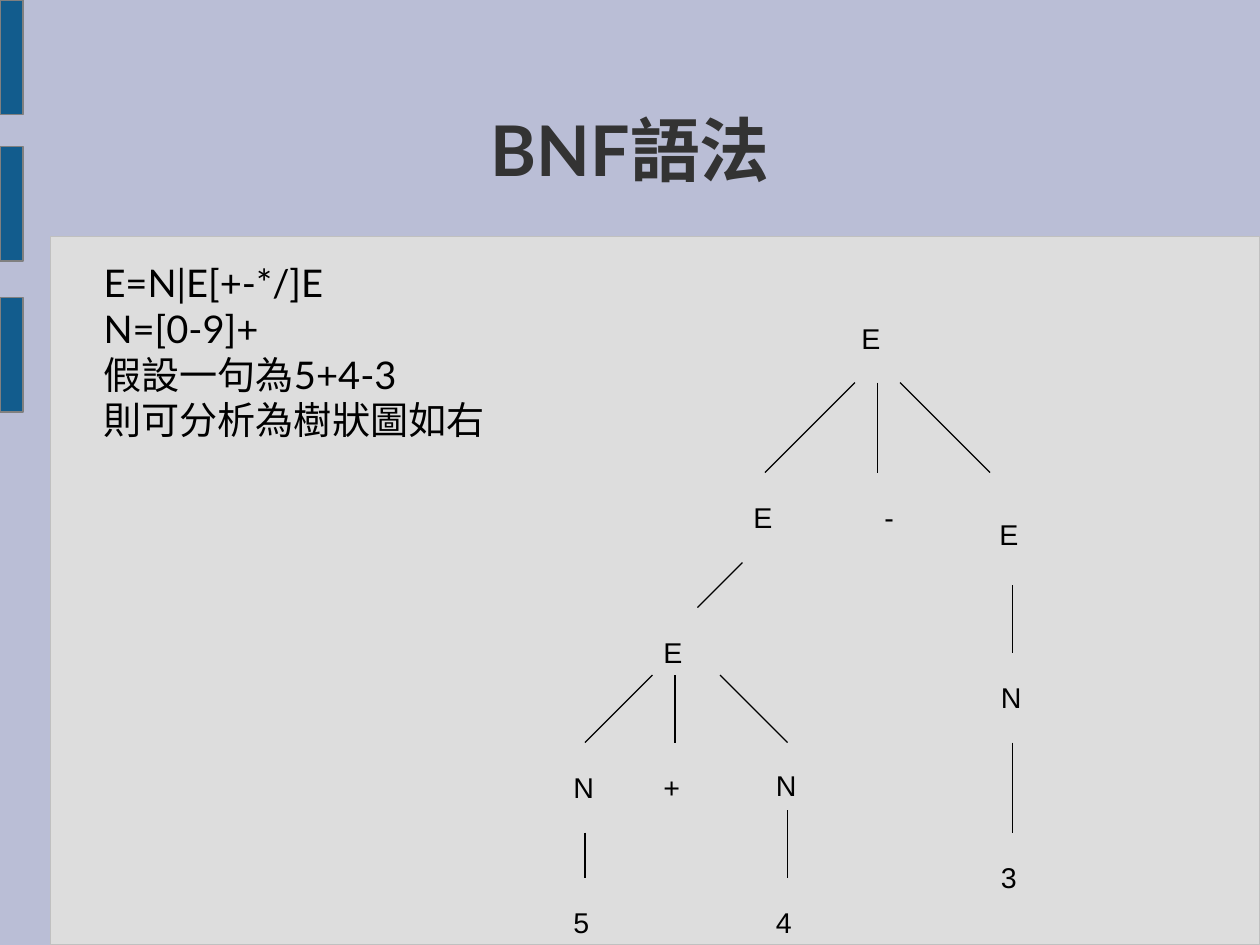
from lxml import etree
from pptx import Presentation
from pptx.dml.color import RGBColor
from pptx.enum.shapes import MSO_CONNECTOR, MSO_SHAPE
from pptx.enum.text import MSO_ANCHOR, MSO_AUTO_SIZE, PP_ALIGN
from pptx.oxml.ns import qn
from pptx.util import Pt

STRAIGHT = MSO_CONNECTOR.STRAIGHT
ROUNDED = MSO_SHAPE.ROUNDED_RECTANGLE
TOP, MIDDLE = MSO_ANCHOR.TOP, MSO_ANCHOR.MIDDLE
NO_AUTOFIT = MSO_AUTO_SIZE.NONE
LEFT, CENTER = PP_ALIGN.LEFT, PP_ALIGN.CENTER

EMU_PER_PX = 4000  # the slide is 2520 by 1890 px, 28 by 21 cm
GRID = 45  # px in one step of the tree's grid, 5 mm
COLORS = {
    "background": "BABED6",
    "panel": "DDDDDD",
    "panel_line": "C0C0C0",
    "bar": "125C8D",
    "bar_line": "808080",
    "title": "333333",
    "text": "000000",
}
BAR_TOPS = [0, 293, 595]
GRAMMAR_LINES = ["E=N|E[+-*/]E", "N=[0-9]+", "假設一句為5+4-3", "則可分析為樹狀圖如右"]

# Tree nodes: symbol, left, top, width
NODES = [
    ("E", 1701, 631, 82),
    ("E", 1485, 990, 82),
    ("-", 1747, 990, 64),
    ("E", 1977, 1024, 82),
    ("E", 1305, 1260, 82),
    ("N", 1980, 1350, 87),
    ("N", 1125, 1530, 87),
    ("+", 1305, 1530, 135),
    ("N", 1530, 1525, 87),
    ("3", 1980, 1710, 78),
    ("5", 1125, 1800, 78),
    ("4", 1530, 1800, 78),
]
NODE_HEIGHT = 87

# Tree branches in grid steps: start x, start y, end x, end y
BRANCHES = [
    (38, 17, 34, 21),
    (39, 17, 39, 21),
    (40, 17, 44, 21),
    (33, 25, 31, 27),
    (45, 26, 45, 29),
    (29, 30, 26, 33),
    (30, 30, 30, 33),
    (32, 30, 35, 33),
    (45, 33, 45, 37),
    (26, 37, 26, 39),
    (35, 36, 35, 39),
]


def px(*lengths):
    return [length * EMU_PER_PX for length in lengths]


def color(name):
    return RGBColor.from_string(COLORS[name])


def set_all(target, values):
    for name, value in values.items():
        setattr(target, name, value)


def set_frame(frame, margins, anchor, wrap):
    left, top, right, bottom = px(*margins)
    set_all(frame, {
        "margin_left": left, "margin_top": top,
        "margin_right": right, "margin_bottom": bottom,
        "vertical_anchor": anchor, "word_wrap": wrap, "auto_size": NO_AUTOFIT,
    })


def set_font(font, face, size, color_name, bold=False):
    set_all(font, {"name": face, "size": Pt(size), "bold": bold})
    font.color.rgb = color(color_name)


def add_block(slide, behind, bounds, fill, line):
    block = slide.shapes.add_shape(ROUNDED, *px(*bounds))
    block.adjustments[0] = 0
    block.shadow.inherit = False
    block.fill.solid()
    block.fill.fore_color.rgb = color(fill)
    block.line.color.rgb = color(line)
    block.line.width = Pt(0.75)
    behind.element.addprevious(block.element)


def fill_placeholder(box, bounds, lines, anchor, alignment):
    set_all(box, dict(zip(("left", "top", "width", "height"), px(*bounds))))
    frame = box.text_frame
    frame.text = "\n".join(lines)
    set_frame(frame, (0, 0, 0, 0), anchor, True)
    for para in frame.paragraphs:
        set_all(para, {"alignment": alignment, "space_before": Pt(0), "line_spacing": 1.0})
    return frame.paragraphs


def remove_bullet(para, indent, hanging):
    properties = para._p.get_or_add_pPr()
    properties.set("marL", str(px(indent)[0]))
    properties.set("indent", str(px(-hanging)[0]))
    etree.SubElement(properties, qn("a:buNone"))


def add_node(slide, symbol, left, top, width):
    box = slide.shapes.add_textbox(*px(left, top, width, NODE_HEIGHT))
    set_frame(box.text_frame, (22, 16, 22, 11), TOP, symbol == "+")
    para = box.text_frame.paragraphs[0]
    para.line_spacing = 0.93
    span = para.add_run()
    span.text = symbol
    set_font(span.font, "Arial", 18, "text")


def add_branch(slide, steps):
    ends = px(*(step * GRID for step in steps))
    branch = slide.shapes.add_connector(STRAIGHT, *ends)
    branch.line.color.rgb = color("text")
    branch.line.width = Pt(0.75)
    etree.SubElement(branch.element.spPr, qn("a:effectLst"))


def main():
    deck = Presentation()
    deck.slide_width, deck.slide_height = px(2520, 1890)
    slide = deck.slides.add_slide(deck.slide_layouts[1])
    title, body = slide.shapes.title, slide.placeholders[1]

    # Background, panel and side bars
    slide.background.fill.solid()
    slide.background.fill.fore_color.rgb = color("background")
    add_block(slide, title, (101, 473, 2419, 1417), "panel", "panel_line")
    for top in BAR_TOPS:
        add_block(slide, title, (0, top, 46, 229), "bar", "bar_line")

    # Title and grammar rules
    for para in fill_placeholder(title, (185, 139, 2151, 315), ["BNF語法"], MIDDLE, CENTER):
        set_font(para.runs[0].font, "Lato", 44, "title", True)
    for para in fill_placeholder(body, (180, 519, 2151, 1191), GRAMMAR_LINES, TOP, LEFT):
        remove_bullet(para, 108, 81)
        set_font(para.runs[0].font, "Lato", 24, "text")

    # Parse tree
    for node in NODES:
        add_node(slide, *node)
    for steps in BRANCHES:
        add_branch(slide, steps)

    deck.save("out.pptx")


if __name__ == "__main__":
    main()
